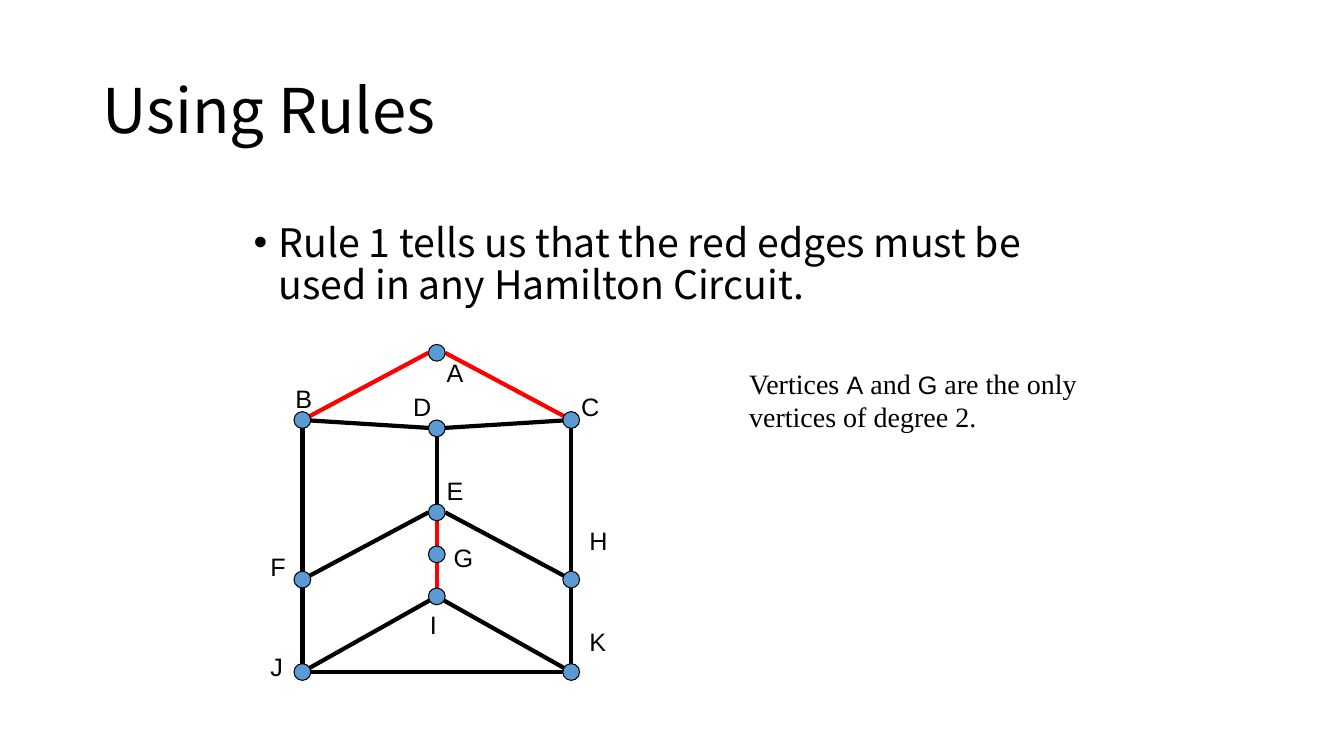
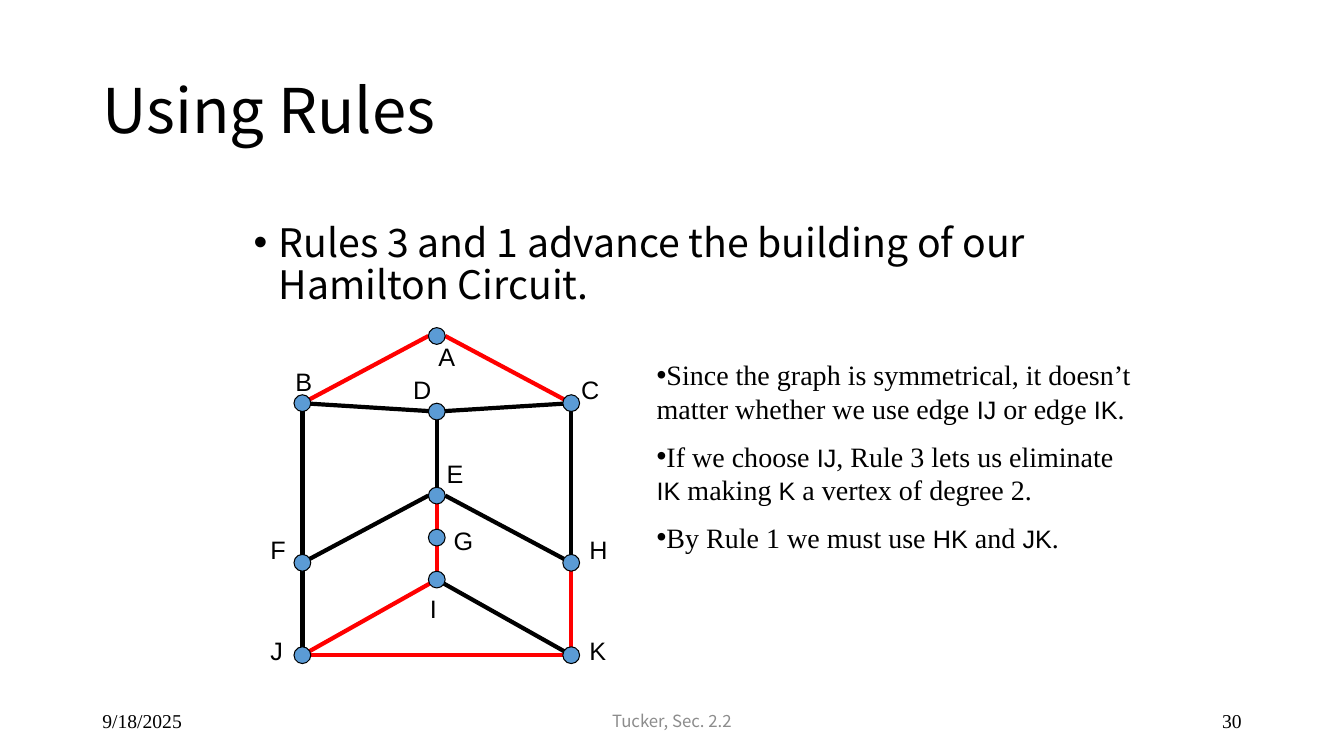
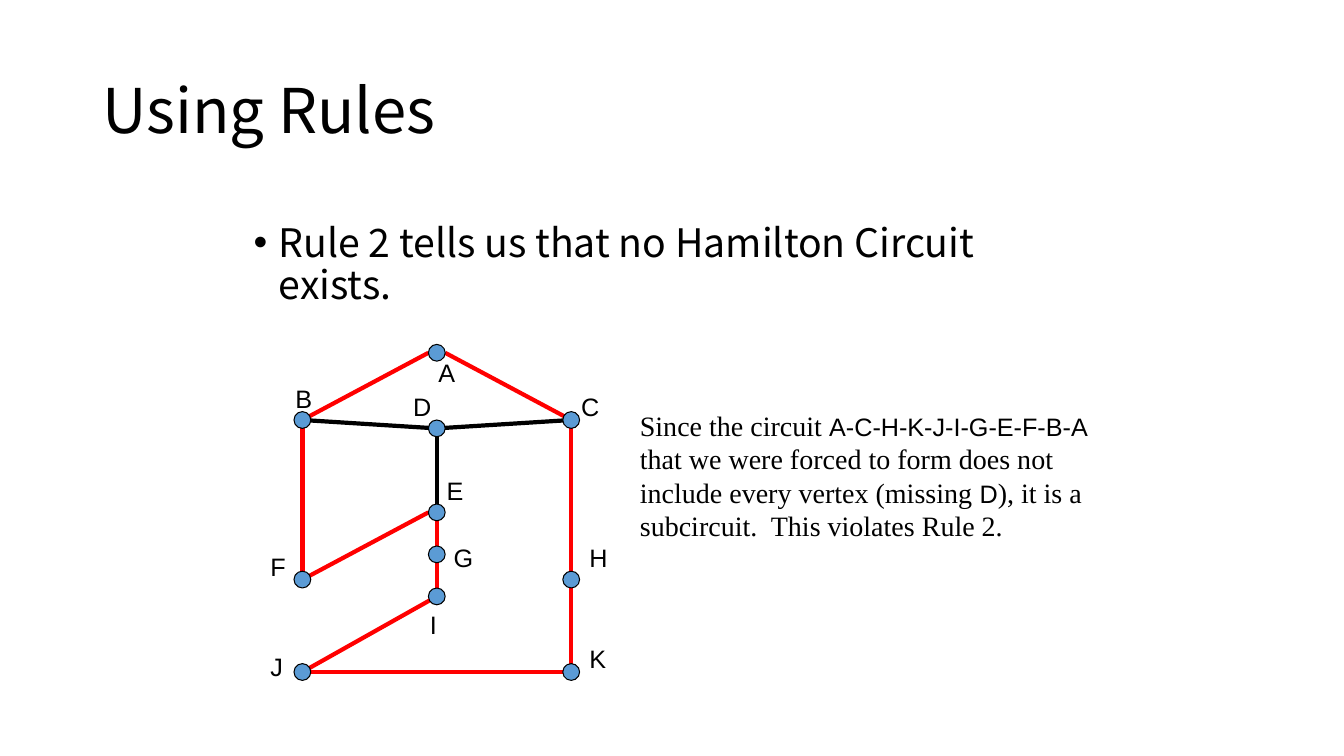
from lxml import etree
from pptx import Presentation
from pptx.dml.color import RGBColor
from pptx.enum import shapes, text
from pptx.oxml import ns
from pptx.util import Pt

COLORS = {"ink": "000000", "required": "FF0000", "vertex": "5B9BD5", "muted": "8C8C8C"}
HEADING_FONT, LABEL_FONT, NOTE_FONT = "Noto Sans CJK SC", "Arial", "Times New Roman"
LEFT, CENTER, RIGHT = text.PP_ALIGN.LEFT, text.PP_ALIGN.CENTER, text.PP_ALIGN.RIGHT
TOP, MIDDLE = text.MSO_ANCHOR.TOP, text.MSO_ANCHOR.MIDDLE

RADIUS = 6
WEST, MID, EAST = 216, 312, 408
VERTICES = {
    "A": (MID, 252), "B": (WEST, 300), "C": (EAST, 300), "D": (MID, 306),
    "E": (MID, 366), "F": (WEST, 414), "G": (MID, 396), "H": (EAST, 414),
    "I": (MID, 426), "J": (WEST, 480), "K": (EAST, 480),
}
LABELS = {
    "A": (306, 252), "B": (204, 270), "C": (408, 276), "D": (288, 276),
    "E": (312, 336), "F": (186, 390), "G": (317, 384), "H": (414, 384),
    "I": (300, 432), "J": (186, 462), "K": (414, 456),
}
EDGES = "BD CD DE BF FJ CH HK BA CA FE HE EG GI JI KI JK".split()


def rgb(name):
    """Return the named colour."""
    return RGBColor.from_string(COLORS[name])


def style(font, name, size, color="ink"):
    """Set typeface, size and colour of a font."""
    font.name, font.size = name, Pt(size)
    font.color.rgb = rgb(color)


def add_bullet(para, indent=0):
    """Give a paragraph a round bullet with a hanging indent."""
    props = para._p.get_or_add_pPr()
    props.set("marL", str(Pt(indent)))
    props.set("indent", str(-Pt(indent)))
    etree.SubElement(props, ns.qn("a:buFont")).set("typeface", "Arial")
    etree.SubElement(props, ns.qn("a:buChar")).set("char", "•")


def add_box(page, left, top, width, height, anchor=TOP):
    """Add an empty wrapping text box and return its text frame."""
    frame = page.shapes.add_textbox(Pt(left), Pt(top), Pt(width), Pt(height)).text_frame
    frame.word_wrap, frame.vertical_anchor = True, anchor
    return frame


def add_line_of_text(page, words, at, font, size, color="ink", align=LEFT, anchor=TOP):
    """Add a text box with one uniformly set paragraph."""
    para = add_box(page, *at, anchor).paragraphs[0]
    para.text, para.alignment = words, align
    style(para.font, font, size, color)


def add_page(deck, statement):
    """Add a slide with the shared title and one bulleted statement."""
    page = deck.slides.add_slide(deck.slide_layouts[5])
    title = page.shapes.title
    title.left, title.top, title.width, title.height = Pt(66), Pt(28.8), Pt(828), Pt(104.4)
    title.text_frame.text = "Using Rules"
    title.text_frame.vertical_anchor = MIDDLE
    title.text_frame.auto_size = text.MSO_AUTO_SIZE.NONE
    heading = title.text_frame.paragraphs[0]
    heading.alignment, heading.line_spacing = LEFT, 0.9
    style(heading.font, HEADING_FONT, 44)

    para = add_box(page, 174, 156, 600, 76).paragraphs[0]
    para.text, para.line_spacing = statement, 0.9
    add_bullet(para, 18)
    style(para.font, HEADING_FONT, 28)
    return page


def add_edge(page, edge, color, shift):
    """Draw an edge; slanted edges meet A and E at the side of the dot."""
    (x1, y1), (x2, y2) = (VERTICES[name] for name in edge)
    if edge[1] in "AE" and x1 != x2:
        x2 += RADIUS if x1 > x2 else -RADIUS
    line = page.shapes.add_connector(
        shapes.MSO_CONNECTOR.STRAIGHT, Pt(x1), Pt(y1 + shift), Pt(x2), Pt(y2 + shift))
    line.line.color.rgb, line.line.width = rgb(color), Pt(3)
    etree.SubElement(line._element.spPr, ns.qn("a:effectLst"))


def add_vertex(page, x, y):
    """Draw a vertex dot centred on a point."""
    dot = page.shapes.add_shape(
        shapes.MSO_SHAPE.OVAL, Pt(x - RADIUS), Pt(y - RADIUS), Pt(2 * RADIUS), Pt(2 * RADIUS))
    dot.shadow.inherit = False
    dot.fill.solid()
    dot.fill.fore_color.rgb = rgb("vertex")
    dot.line.color.rgb, dot.line.width = rgb("ink"), Pt(0.75)


def add_graph(page, required, removed="", shift=0, moved=None):
    """Draw the graph with its required edges in red and removed ones left out."""
    for edge in EDGES:
        if edge not in removed.split():
            add_edge(page, edge, "required" if edge in required.split() else "ink", shift)
    for x, y in VERTICES.values():
        add_vertex(page, x, y + shift)
    for name, (x, y) in {**LABELS, **(moved or {})}.items():
        add_line_of_text(page, name, (x, y + shift, 30, 28.8), LABEL_FONT, 18)


def add_notes_box(page, at, *notes, bulleted=False):
    """Add remarks in which every second part, split at bars, names vertices."""
    frame = add_box(page, *at)
    for index, note in enumerate(notes):
        para = frame.add_paragraph() if index else frame.paragraphs[0]
        if index:
            para.space_before = Pt(10)
        if bulleted:
            add_bullet(para)
        for part, words in enumerate(note.split("|")):
            span = para.add_run()
            span.text = words
            style(span.font, *((LABEL_FONT, 18) if part % 2 else (NOTE_FONT, 20)))


def add_footer(page, date, source, number):
    """Add date, source and slide number along the bottom."""
    for words, left, width, font, size, color, align in (
        (date, 66, 216, NOTE_FONT, 14, "ink", LEFT),
        (source, 318, 324, HEADING_FONT, 12, "muted", CENTER),
        (number, 678, 216, NOTE_FONT, 14, "ink", RIGHT),
    ):
        add_line_of_text(page, words, (left, 500.4, width, 28.8), font, size, color, align, MIDDLE)


def main():
    """Build and save the deck."""
    deck = Presentation()
    deck.slide_width, deck.slide_height = Pt(960), Pt(540)

    page = add_page(deck, "Rule 1 tells us that the red edges must be used in any Hamilton Circuit.")
    add_graph(page, "BA CA EG GI", moved={"A": (312, 252), "H": (414, 372), "K": (414, 444)})
    add_notes_box(page, (528, 258, 270, 55),
                  "Vertices |A| and |G| are the only vertices of degree 2.")

    page = add_page(deck, "Rules 3 and 1 advance the building of our Hamilton Circuit.")
    add_graph(page, "BA CA EG GI JI HK JK", shift=-12, moved={"H": (414, 390), "K": (414, 462)})
    add_notes_box(
        page, (462, 252, 360, 151),
        "Since the graph is symmetrical, it doesn’t matter whether we use edge |IJ| or edge |IK|.",
        "If we choose |IJ|, Rule 3 lets us eliminate |IK| making |K| a vertex of degree 2.",
        "By Rule 1 we must use |HK| and |JK|.", bulleted=True)
    add_footer(page, "9/18/2025", "Tucker, Sec. 2.2", "30")

    page = add_page(deck, "Rule 2 tells us that no Hamilton Circuit exists.")
    add_graph(page, "BA CA BF CH HK FE EG GI JI JK", removed="FJ HE KI")
    add_notes_box(
        page, (450, 288, 354, 103),
        "Since the circuit |A-C-H-K-J-I-G-E-F-B-A| that we were forced to form does not include "
        "every vertex (missing |D|), it is a subcircuit.  This violates Rule 2.")

    deck.save("out.pptx")


if __name__ == "__main__":
    main()
